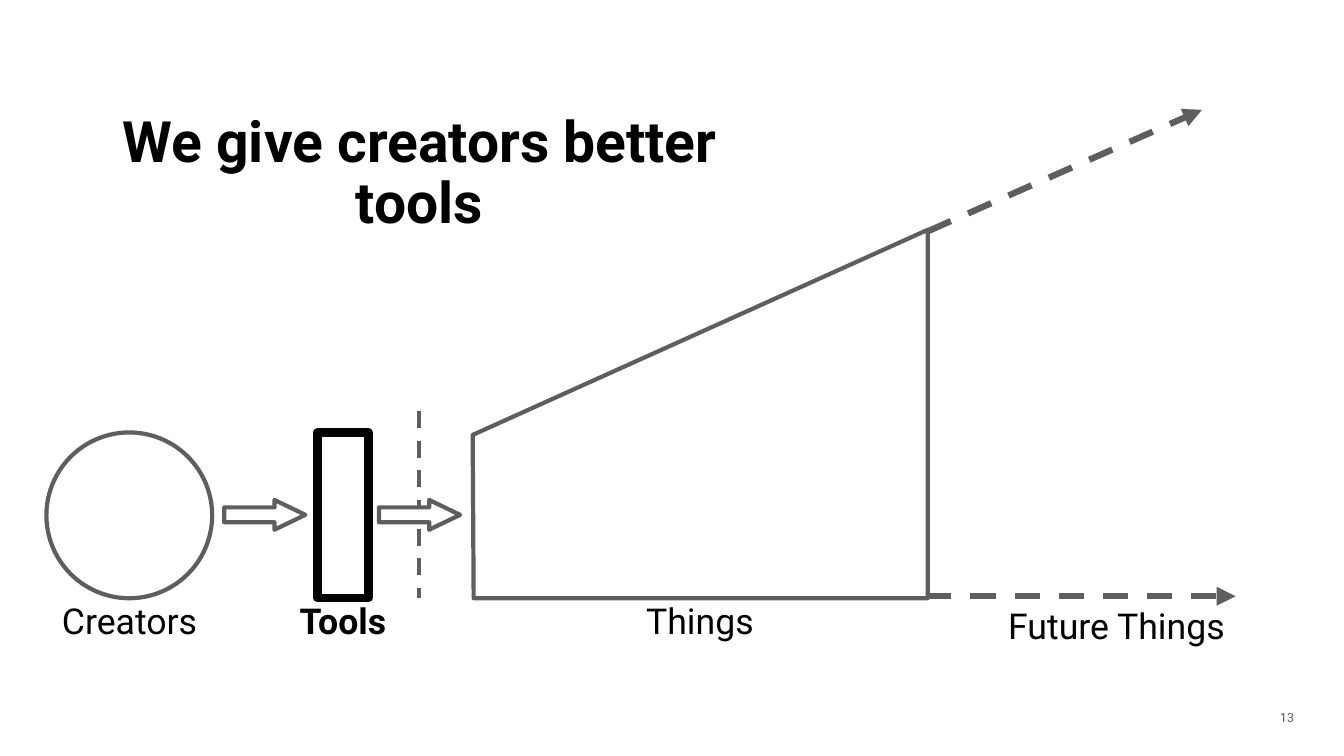
from dataclasses import dataclass

import pptx
import pptx.dml.color
import pptx.enum.dml
import pptx.enum.shapes
import pptx.enum.text
import pptx.oxml
import pptx.oxml.ns
import pptx.util

PX = 9144  # EMU per px, 100 px to the inch
SHAPE = pptx.enum.shapes.MSO_SHAPE
ALIGN = pptx.enum.text.PP_ALIGN


@dataclass(frozen=True)
class Theme:
    font: str = "Roboto"
    ink: str = "000000"
    gray: str = "5E5E5E"
    paper: str = "FFFFFF"
    title_size: float = 81.4
    label_size: float = 50.9
    number_size: float = 18
    thin: int = 6
    medium: int = 9
    thick: int = 12


THEME = Theme()


def emu(*lengths):
    return [pptx.util.Emu(length * PX) for length in lengths]


def rgb(color):
    return pptx.dml.color.RGBColor.from_string(color)


def write(holder, text, size=THEME.label_size, color=THEME.ink, bold=False,
          align=ALIGN.CENTER, spacing=0.9):
    frame = holder.text_frame
    frame.word_wrap = True
    frame.auto_size = pptx.enum.text.MSO_AUTO_SIZE.NONE
    frame.vertical_anchor = pptx.enum.text.MSO_ANCHOR.TOP
    frame.margin_left = frame.margin_right = emu(6)[0]
    frame.margin_top = frame.margin_bottom = emu(6)[0]
    paragraph = frame.paragraphs[0]
    paragraph.alignment = align
    paragraph.line_spacing = spacing
    paragraph.space_before = pptx.util.Pt(0)
    run = paragraph.add_run()
    run.text = text
    run.font.name = THEME.font
    run.font.size = pptx.util.Pt(size)
    run.font.bold = bold
    run.font.color.rgb = rgb(color)


def add_label(slide, box, text, **text_format):
    write(slide.shapes.add_textbox(*emu(*box)), text, **text_format)


def outline(shape, color=THEME.gray, width=THEME.thin):
    shape.shadow.inherit = False
    shape.fill.solid()
    shape.fill.fore_color.rgb = rgb(THEME.paper)
    shape.line.color.rgb = rgb(color)
    shape.line.width = pptx.util.Pt(width)
    return shape


def add_dashes(slide, start, end, width, arrow=False):
    dashes = slide.shapes.add_connector(
        pptx.enum.shapes.MSO_CONNECTOR.STRAIGHT, *emu(*start, *end))
    dashes.line.color.rgb = rgb(THEME.gray)
    dashes.line.width = pptx.util.Pt(width)
    dashes.line.dash_style = pptx.enum.dml.MSO_LINE.DASH
    if arrow:
        pptx.oxml.ns.qn("a:tailEnd")
        tail = pptx.oxml.parse_xml(
            f'<a:tailEnd {pptx.oxml.ns.nsdecls("a")} type="triangle"/>')
        dashes.line._get_or_add_ln().append(tail)
    dashes._element.spPr.append(
        pptx.oxml.parse_xml(f'<a:effectLst {pptx.oxml.ns.nsdecls("a")}/>'))


def place_title(slide, box):
    title = slide.shapes.title
    title.left, title.top, title.width, title.height = emu(*box)
    write(title, "We give creators better tools",
          size=THEME.title_size, bold=True)


def build_creation(slide, box):
    """Creators, their tools, and the arrows leading to things."""
    left, top, width, height = box
    shape_top, diameter = top + 42, 329
    label_top, label_height = top + height - 115, 115

    # Tools and creators
    outline(slide.shapes.add_shape(
        SHAPE.RECTANGLE, *emu(left + 567, shape_top, 101, diameter)),
        color=THEME.ink, width=THEME.thick)
    outline(slide.shapes.add_shape(
        SHAPE.OVAL, *emu(left + 29, shape_top, diameter, diameter)))
    add_label(slide, (left, label_top, 388, label_height), "Creators")
    add_label(slide, (left + 367, label_top, 501, label_height), "Tools",
              bold=True)

    # Boundary before things
    boundary = left + 769
    add_dashes(slide, (boundary, top), (boundary, shape_top + diameter),
               THEME.thin)

    # Arrows between the stages
    for stage in range(2):
        arrow = outline(slide.shapes.add_shape(
            SHAPE.RIGHT_ARROW,
            *emu(left + 382 + stage * 307, top + 176, 161, 59)))
        arrow.adjustments[0] = 0.5
        arrow.adjustments[1] = 1.04


def build_things(slide, box):
    """The growing body of things, with its label below."""
    left, top, width, height = box
    base = top + 731
    pen = slide.shapes.build_freeform(left, top + 407, scale=PX)
    pen.add_line_segments([(left + 2, base), (left + width, base),
                           (left + width, top)], close=True)
    outline(pen.convert_to_shape())
    add_label(slide, (left + 13, top + height - 115, width - 27, 115),
              "Things")


def build_future(slide, box):
    """Dashed arrows that carry the edges of things onward."""
    left, top, width, height = box
    base = top + 965
    add_dashes(slide, (left + 46, top + 241), (left + 590, top),
               THEME.medium, arrow=True)
    add_dashes(slide, (left + 43, base), (left + 657, base),
               THEME.medium, arrow=True)
    add_label(slide, (left, top + height - 146, width, 146), "Future Things",
              spacing=1)


def build_slide(deck):
    slide = deck.slides.add_slide(deck.slide_layouts[5])
    place_title(slide, (163, 218, 1339, 299))
    build_things(slide, (938, 456, 903, 851))
    build_creation(slide, (63, 816, 868, 491))
    build_future(slide, (1795, 218, 841, 1120))
    # Page number
    add_label(slide, (2534, 1402, 66, 70), "13", size=THEME.number_size,
              color=THEME.gray, align=ALIGN.LEFT, spacing=1)


def main():
    deck = pptx.Presentation()
    deck.slide_width, deck.slide_height = emu(2667, 1500)
    build_slide(deck)
    deck.save("out.pptx")


if __name__ == "__main__":
    main()
